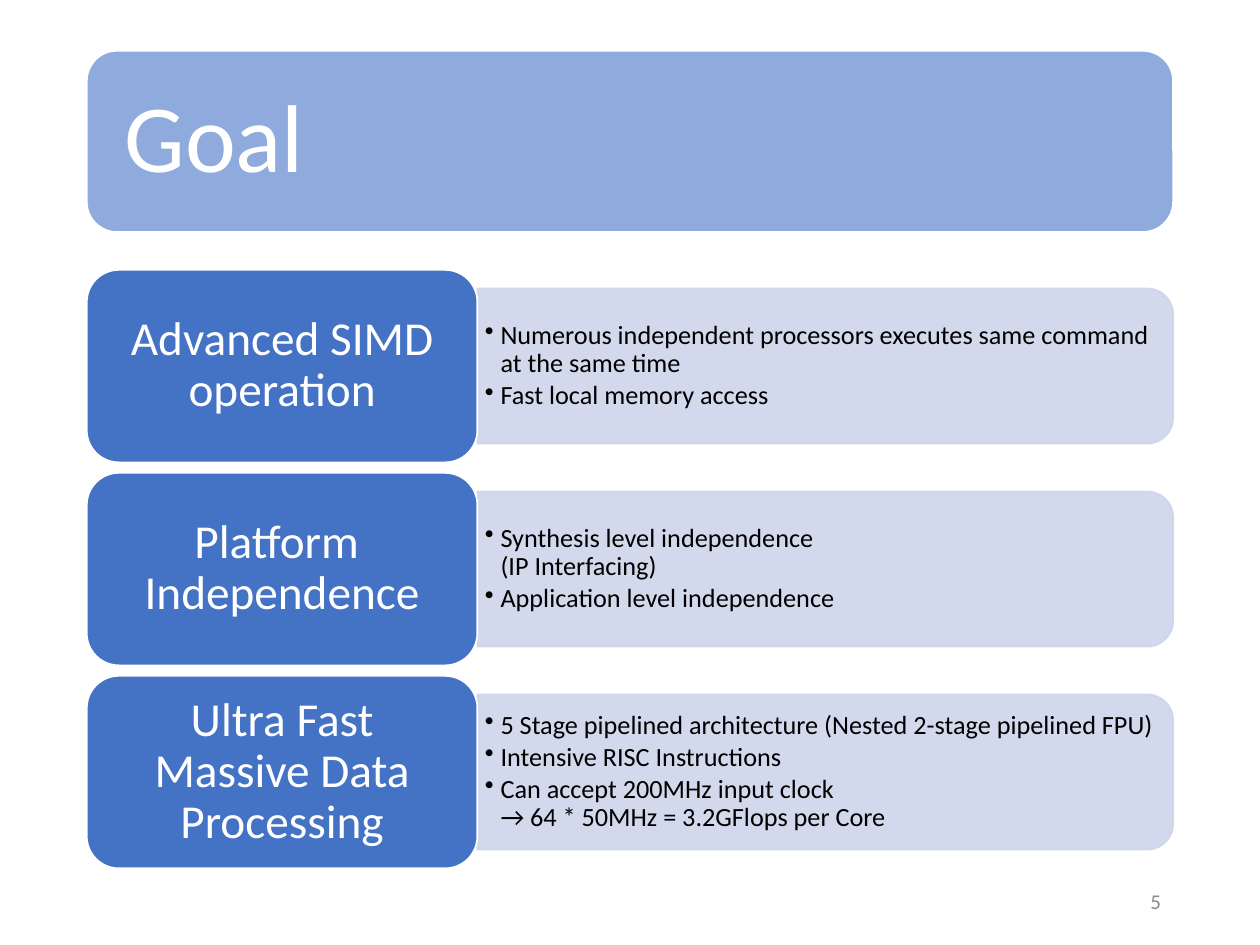
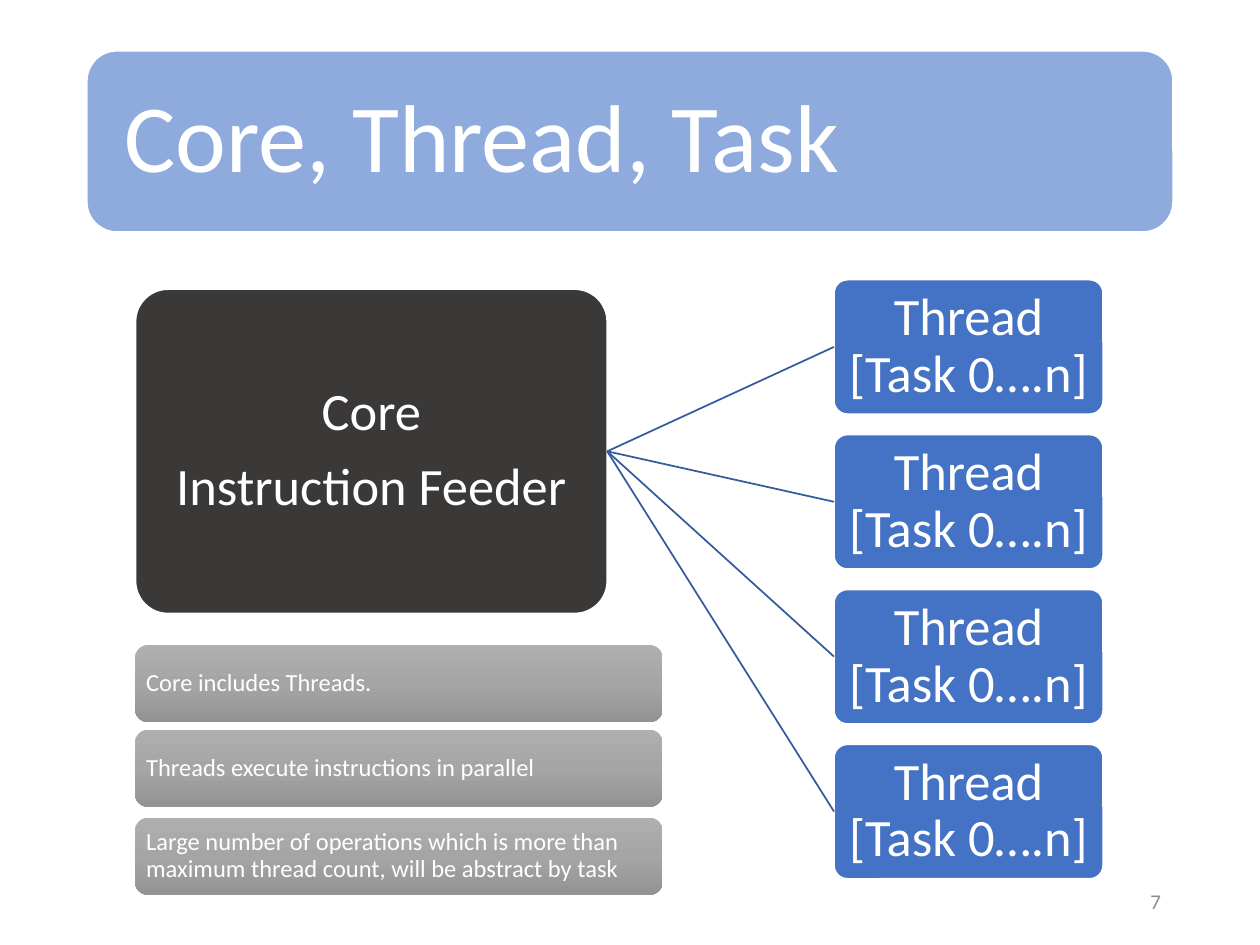
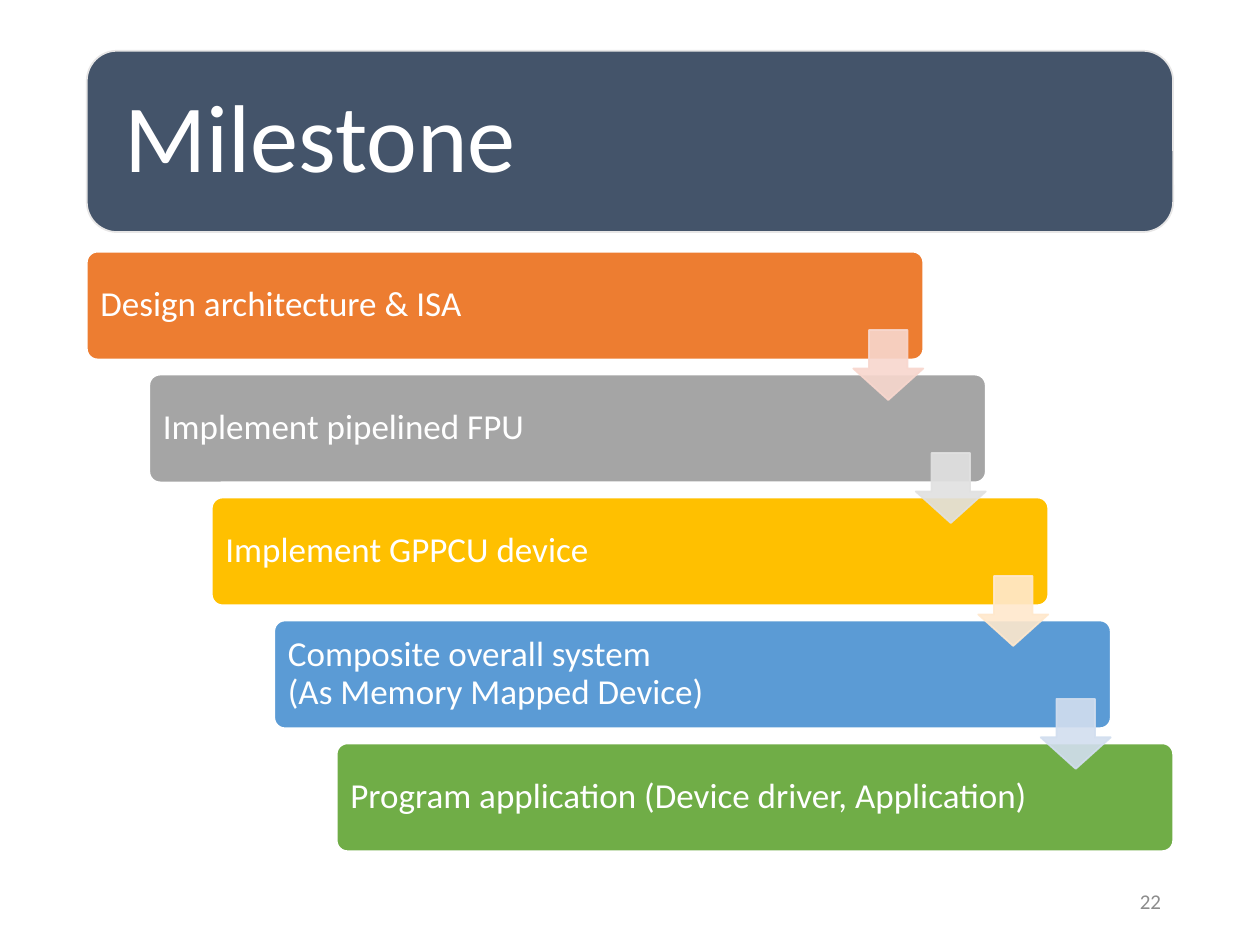
from copy import deepcopy

from lxml import etree
from pptx import Presentation
from pptx.dml.color import RGBColor
from pptx.enum.shapes import MSO_CONNECTOR, MSO_SHAPE
from pptx.enum.text import MSO_ANCHOR, PP_ALIGN
from pptx.oxml.ns import qn
from pptx.util import Pt

ROUNDED = MSO_SHAPE.ROUNDED_RECTANGLE
TWO_ROUNDED = MSO_SHAPE.ROUND_2_SAME_RECTANGLE
DOWN_ARROW = MSO_SHAPE.DOWN_ARROW
STRAIGHT = MSO_CONNECTOR.STRAIGHT
MIDDLE = MSO_ANCHOR.MIDDLE
LEFT, CENTER, RIGHT = PP_ALIGN.LEFT, PP_ALIGN.CENTER, PP_ALIGN.RIGHT

WHITE = RGBColor(0xFF, 0xFF, 0xFF)
BLACK = RGBColor(0x00, 0x00, 0x00)
BLUE = RGBColor(0x44, 0x72, 0xC4)
LIGHT_BLUE = RGBColor(0x8F, 0xAA, 0xDC)
PALE_BLUE = RGBColor(0xCF, 0xD5, 0xEA)
LINK_BLUE = RGBColor(0x36, 0x5B, 0x9D)
SLATE = RGBColor(0x44, 0x54, 0x6A)
SILVER = RGBColor(0xE7, 0xE6, 0xE6)
CHARCOAL = RGBColor(0x3B, 0x38, 0x38)
NUMBER_GRAY = RGBColor(0x8C, 0x8C, 0x8C)
NOTE_STOPS = [
    (0, RGBColor(0xAF, 0xAF, 0xAF)),
    (0.5, RGBColor(0xA5, 0xA5, 0xA5)),
    (1, RGBColor(0x93, 0x93, 0x93)),
]

FONT = "Calibri"
MARGIN = 49.6
CONTENT_WIDTH = 620.8

BANNER_TEXT = dict(size=55, inset=(16.5, 16.5))
LABEL_TEXT = dict(size=27, inset=(8, 4), align=CENTER)
BULLET_TEXT = dict(size=15, inset=(4.2, 2.1), color=BLACK, after=0.15, bullet=True)
NODE_TEXT = dict(size=30, inset=(1.5, 1.5), align=CENTER)
NOTE_TEXT = dict(size=14, inset=(4.2, 4.2))
STEP_TEXT = dict(size=20, inset=(6, 6))
NUMBER_TEXT = dict(size=12, inset=(7.2, 3.6), color=NUMBER_GRAY,
                   align=RIGHT, spacing=1, after=0)

GOALS = [
    ("Advanced SIMD operation", [
        "Numerous independent processors executes same command at the same time",
        "Fast local memory access",
    ]),
    ("Platform \nIndependence", [
        "Synthesis level independence \n(IP Interfacing)",
        "Application level independence",
    ]),
    ("Ultra Fast\nMassive Data\nProcessing", [
        "5 Stage pipelined architecture (Nested 2-stage pipelined FPU)",
        "Intensive RISC Instructions",
        "Can accept 200MHz input clock \n→ 64 * 50MHz = 3.2GFlops per Core",
    ]),
]

NOTES = [
    (368.6, "Core includes Threads."),
    (417, "Threads execute instructions in parallel"),
    (467.3, "Large number of operations which is more than maximum thread count, "
            "will be abstract by task"),
]

STEPS = [
    ("Design architecture & ISA", RGBColor(0xED, 0x7D, 0x31)),
    ("Implement pipelined FPU", RGBColor(0xA5, 0xA5, 0xA5)),
    ("Implement GPPCU device", RGBColor(0xFF, 0xC0, 0x00)),
    ("Composite overall system \n(As Memory Mapped Device)", RGBColor(0x5B, 0x9B, 0xD5)),
    ("Program application (Device driver, Application)", RGBColor(0x70, 0xAD, 0x47)),
]
ARROW_COLORS = [
    RGBColor(0xF8, 0xD7, 0xCE),
    RGBColor(0xE1, 0xE1, 0xE1),
    RGBColor(0xFF, 0xE8, 0xCC),
    RGBColor(0xD2, 0xDE, 0xEF),
]


def apply(target, values):
    for name, value in values.items():
        setattr(target, name, value)


def add_bullet(paragraph):
    properties = paragraph._p.get_or_add_pPr()
    properties.set("marL", str(Pt(9)))
    properties.set("indent", str(-Pt(9)))
    etree.SubElement(properties, qn("a:buChar"), char="•")


def write(shape, lines, size, inset, color=WHITE, align=LEFT,
          spacing=0.9, after=0.35, bullet=False):
    frame = shape.text_frame
    side, edge = map(Pt, inset)
    apply(frame, dict(word_wrap=True, vertical_anchor=MIDDLE, margin_left=side,
                      margin_right=side, margin_top=edge, margin_bottom=edge))
    for index, line in enumerate(lines):
        paragraph = frame.add_paragraph() if index else frame.paragraphs[0]
        paragraph.text = line
        if bullet:
            add_bullet(paragraph)
        apply(paragraph, dict(alignment=align, line_spacing=spacing,
                              space_after=Pt(size * after)))
        for run in paragraph.runs:
            apply(run.font, dict(name=FONT, size=Pt(size)))
            run.font.color.rgb = color


def add_block(slide, kind, box, fill=None, line=None, adjustments=()):
    block = slide.shapes.add_shape(kind, *map(Pt, box))
    block.shadow.inherit = False
    for index, value in enumerate(adjustments):
        block.adjustments[index] = value
    if fill is not None:
        block.fill.solid()
        block.fill.fore_color.rgb = fill
    if line is None:
        block.line.fill.background()
    else:
        block.line.color.rgb = line
        block.line.width = Pt(1)
    return block


def add_text(slide, box, lines, style):
    write(slide.shapes.add_textbox(*map(Pt, box)), lines, **style)


def make_translucent(block):
    for color in block._element.spPr.iter(qn("a:srgbClr")):
        etree.SubElement(color, qn("a:alpha"), val="90000")


def add_page(deck, title, number, fill=LIGHT_BLUE, line=WHITE):
    slide = deck.slides.add_slide(deck.slide_layouts[6])
    banner = add_block(slide, ROUNDED, (MARGIN, 29, CONTENT_WIDTH, 103.6), fill, line)
    write(banner, [title], **BANNER_TEXT)
    add_text(slide, (508.5, 500.5, 162, 28.8), [number], NUMBER_TEXT)
    return slide


def add_goal(slide, top, title, points):
    label_width, label_height = 223.2, 110
    panel_length, panel_depth = 397.6, 88.6
    panel_left = MARGIN + label_width
    middle = top + label_height / 2
    panel = add_block(
        slide, TWO_ROUNDED,
        (panel_left + (panel_length - panel_depth) / 2, middle - panel_length / 2,
         panel_depth, panel_length),
        PALE_BLUE, PALE_BLUE)
    panel.rotation = 90
    make_translucent(panel)
    add_text(slide, (panel_left, middle - 40, 393.3, 80), points, BULLET_TEXT)
    label = add_block(slide, ROUNDED, (MARGIN, top, label_width, label_height), BLUE, WHITE)
    write(label, [title], **LABEL_TEXT)


def add_node(slide, box, fill, lines):
    node = add_block(slide, ROUNDED, box, fill, WHITE, [0.1])
    write(node, lines, **NODE_TEXT)
    return node


def link(slide, source, target):
    connector = slide.shapes.add_connector(STRAIGHT, 0, 0, 0, 0)
    connector.begin_connect(source, 3)
    connector.end_connect(target, 1)
    connector.line.color.rgb = LINK_BLUE
    connector.line.width = Pt(1)
    etree.SubElement(connector._element.spPr, qn("a:effectLst"))


def add_note(slide, top, text):
    note = add_block(slide, ROUNDED, (77.2, top, 301.5, 44))
    note.fill.gradient()
    note.fill.gradient_angle = 270
    stop_list = note._element.spPr.find(".//" + qn("a:gsLst"))
    stop_list.append(deepcopy(stop_list[0]))
    for stop, (position, color) in zip(note.fill.gradient_stops, NOTE_STOPS):
        stop.position = position
        stop.color.rgb = color
    write(note, [text], **NOTE_TEXT)


def build_goal(deck):
    slide = add_page(deck, "Goal", "5")
    for row, (title, points) in enumerate(GOALS):
        add_goal(slide, 154.2 + 116 * row, title, points)


def build_core(deck):
    slide = add_page(deck, "Core, Thread, Task", "7")
    core = add_node(slide, (77.4, 165.2, 269.6, 185.4), CHARCOAL,
                    ["Core", "Instruction Feeder"])
    for row in range(4):
        thread = add_node(slide, (476.6, 159.8 + 88.5 * row, 153.8, 76.9), BLUE,
                          ["Thread\n[Task 0….n]"])
        link(slide, core, thread)
    for top, text in NOTES:
        add_note(slide, top, text)


def build_milestone(deck):
    slide = add_page(deck, "Milestone", "22", SLATE, SILVER)
    corners = [(MARGIN + 35.7 * row, 143.8 + 70.25 * row) for row in range(len(STEPS))]
    for (left, top), (text, fill) in zip(corners, STEPS):
        step = add_block(slide, ROUNDED, (left, top, 478, 61.6), fill, WHITE, [0.1])
        write(step, [text], **STEP_TEXT)
    for (left, top), color in zip(corners, ARROW_COLORS):
        arrow = add_block(slide, DOWN_ARROW, (left + 438, top + 44.8, 40, 40),
                          color, color, [0.55, 0.45])
        make_translucent(arrow)


def main():
    deck = Presentation()
    apply(deck, dict(slide_width=Pt(720), slide_height=Pt(540)))
    build_goal(deck)
    build_core(deck)
    build_milestone(deck)
    deck.save("out.pptx")


if __name__ == "__main__":
    main()
